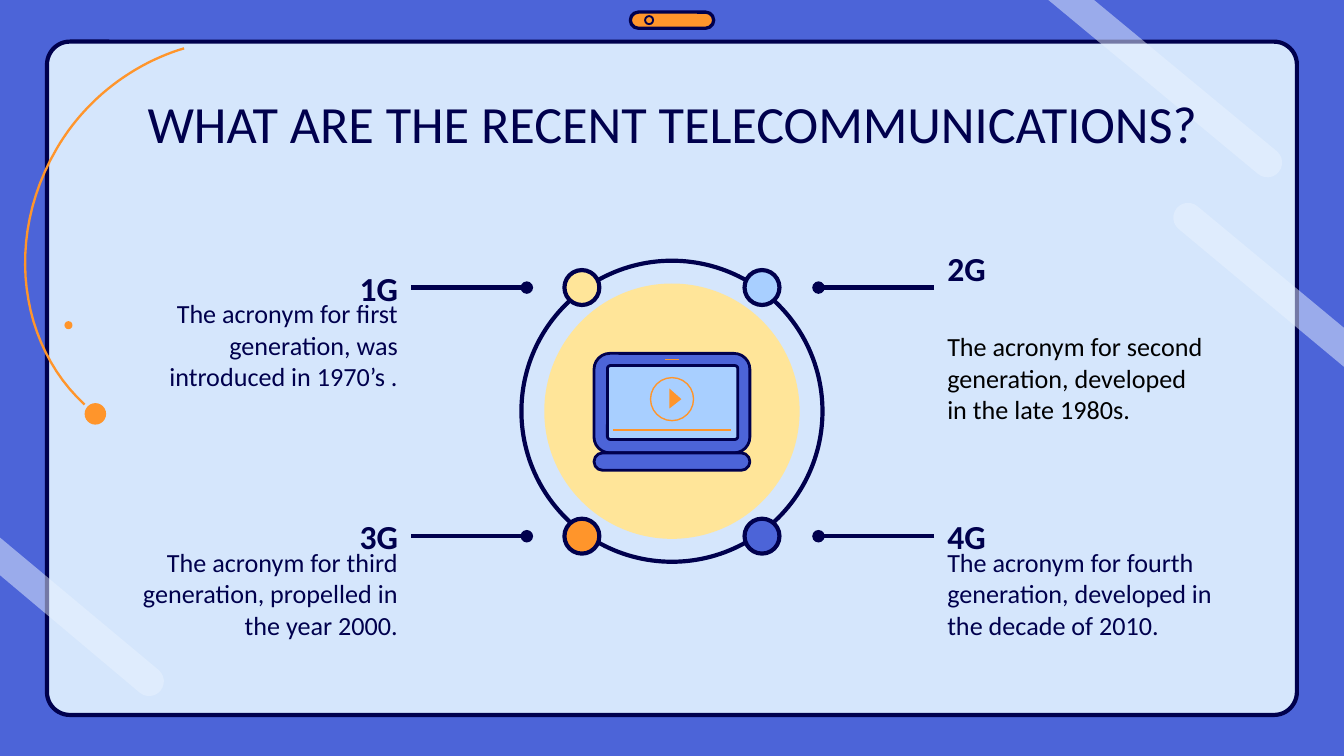
import math

import lxml.etree
import pptx
import pptx.dml.color
import pptx.enum.shapes
import pptx.enum.text
import pptx.oxml.ns
import pptx.util

Inches = pptx.util.Inches
Pt = pptx.util.Pt
SHAPE = pptx.enum.shapes.MSO_SHAPE
ALIGN = pptx.enum.text.PP_ALIGN
ANCHOR = pptx.enum.text.MSO_ANCHOR
qn = pptx.oxml.ns.qn

NAVY, BLUE, ORANGE = "00004D", "4C64D8", "FF952B"
SKY, YELLOW, PALE, GLARE = "A8CFFF", "FFE599", "D5E6FC", "E9F3FF"


def rgb(value):
    return pptx.dml.color.RGBColor.from_string(value)


def style(sp, fill=None, line=None, width=1.5, alpha=None):
    sp.shadow.inherit = False
    if fill:
        sp.fill.solid()
        sp.fill.fore_color.rgb = rgb(fill)
        if alpha:
            clr = sp._element.spPr.find(qn("a:solidFill"))[0]
            lxml.etree.SubElement(clr, qn("a:alpha")).set("val", str(alpha * 1000))
    else:
        sp.fill.background()
    if line:
        sp.line.color.rgb = rgb(line)
        sp.line.width = Pt(width)
    else:
        sp.line.fill.background()
    return sp


def add_shape(s, kind, x, y, w, h, radius=None, **look):
    sp = s.shapes.add_shape(kind, Inches(x), Inches(y), Inches(w), Inches(h))
    if radius is not None:
        sp.adjustments[0] = radius
    return style(sp, **look)


def add_circle(s, cx, cy, r, **look):
    return add_shape(s, SHAPE.OVAL, cx - r, cy - r, 2 * r, 2 * r, **look)


def add_outline(s, points, close=True, **look):
    pts = [(Inches(x), Inches(y)) for x, y in points]
    builder = s.shapes.build_freeform(*pts[0])
    builder.add_line_segments(pts[1:], close=close)
    return style(builder.convert_to_shape(), **look)


def add_line(s, start, end, color=NAVY, width=2.25, dot=False):
    c = s.shapes.add_connector(
        pptx.enum.shapes.MSO_CONNECTOR.STRAIGHT, *map(Inches, (*start, *end)))
    c.line.color.rgb = rgb(color)
    c.line.width = Pt(width)
    if dot:
        lxml.etree.SubElement(c.line._get_or_add_ln(), qn("a:tailEnd")).set("type", "oval")
    lxml.etree.SubElement(c._element.spPr, qn("a:effectLst"))
    return c


def add_text(s, text, x, y, w, h, size=14, color=NAVY, bold=False,
             align=ALIGN.LEFT, anchor=ANCHOR.MIDDLE):
    sp = s.shapes.add_textbox(Inches(x), Inches(y), Inches(w), Inches(h))
    tf = sp.text_frame
    tf.word_wrap = True
    tf.vertical_anchor = anchor
    tf.margin_left = tf.margin_right = tf.margin_top = tf.margin_bottom = Inches(0.1)
    p = tf.paragraphs[0]
    p.alignment = align
    r = p.add_run()
    r.text = text
    r.font.name = "Calibri"
    r.font.size = Pt(size)
    r.font.bold = bold
    r.font.color.rgb = rgb(color)
    return sp


def bezier(a, b, c, d, steps=24):
    for i in range(steps + 1):
        t = i / steps
        u = 1 - t
        yield tuple(u**3 * m + 3 * u * u * t * n + 3 * u * t * t * o + t**3 * q
                    for m, n, o, q in zip(a, b, c, d))


def add_streak(s, lower, upper, cx, cy, turn):
    r = 0.11
    cap = [math.radians(130 + turn * a) for a in range(0, 181, 15)]
    arc = [(cx + r * math.cos(a), cy + r * math.sin(a)) for a in cap]
    add_outline(s, [lower, *arc, upper], fill=GLARE, alpha=50)


def add_frame(s):
    add_shape(s, SHAPE.ROUNDED_RECTANGLE, 0.35, 0.31, 9.3, 5.01, 0.034,
              fill=PALE, line=NAVY, width=2.25)
    add_shape(s, SHAPE.ROUNDED_RECTANGLE, 4.69, 0.09, 0.62, 0.12, 0.5,
              fill=ORANGE, line=NAVY, width=1.75)
    add_circle(s, 4.83, 0.15, 0.03, line=NAVY, width=1)
    bend = (0.42, 1.11)
    orbit = [*bezier((0.63, 3.01), (0.15, 2.57), (0.03, 1.78), bend),
             *bezier(bend, (0.64, 0.73), (1, 0.47), (1.37, 0.36))]
    add_outline(s, orbit, close=False, line=ORANGE, width=1.25)
    add_circle(s, 0.51, 2.42, 0.03, fill=ORANGE)
    add_circle(s, 0.71, 3.08, 0.08, fill=ORANGE)
    add_streak(s, (7.8, 0), (8.14, 0), 9.43, 1.21, -1)
    add_streak(s, (0, 4.28), (0, 4), 1.11, 5.07, -1)
    add_streak(s, (10, 2.73), (10, 2.44), 8.84, 1.62, 1)


def add_laptop(s):
    add_circle(s, 5, 3.06, 0.95, fill=YELLOW)
    add_circle(s, 5, 3.06, 1.12, line=NAVY, width=2.25)
    box = SHAPE.ROUNDED_RECTANGLE
    add_shape(s, box, 4.42, 2.63, 1.16, 0.74, 0.16, fill=BLUE, line=NAVY)
    add_shape(s, box, 4.52, 2.72, 0.97, 0.55, 0.04, fill=SKY, line=NAVY)
    add_circle(s, 5, 2.97, 0.16, line=ORANGE, width=0.75)
    add_outline(s, [(4.98, 2.89), (4.98, 3.04), (5.07, 2.97)], fill=ORANGE)
    add_line(s, (4.56, 3.2), (5.44, 3.2), ORANGE, 0.75)
    add_line(s, (4.95, 2.67), (5.05, 2.67), ORANGE, 0.25)
    add_shape(s, box, 4.42, 3.37, 1.16, 0.13, 0.5, fill=BLUE, line=NAVY)


def add_generation(s, name, text, left, y, dot_color, head_height=0.39,
                   head_anchor=ANCHOR.MIDDLE, body=(2.27, 0.65), body_color=NAVY):
    x = 0.79 if left else 6.95
    align = ALIGN.RIGHT if left else ALIGN.LEFT
    head = add_text(s, name, x, y - head_height / 2, 2.27, head_height, size=18,
                    bold=True, align=align, anchor=head_anchor)
    add_text(s, text, x, y + 0.1, *body, color=body_color, align=align)
    start, end, dot_x = (3.06, 3.92, 4.33) if left else (6.95, 6.09, 5.67)
    c = add_line(s, (start, y), (end, y), dot=True)
    c.begin_connect(head, 3 if left else 1)
    add_circle(s, dot_x, y, 0.13, fill=dot_color, line=NAVY, width=2.25)


def main():
    prs = pptx.Presentation()
    prs.slide_width = Inches(10)
    prs.slide_height = prs.slide_width * 9 // 16
    s = prs.slides.add_slide(prs.slide_layouts[6])
    s.background.fill.solid()
    s.background.fill.fore_color.rgb = rgb(BLUE)
    add_frame(s)
    add_text(s, "WHAT ARE THE RECENT TELECOMMUNICATIONS?", 0.79, 0.58, 8.42, 0.63,
             size=28, align=ALIGN.CENTER, anchor=ANCHOR.TOP)
    add_laptop(s)
    top, bottom = 2.14, 3.99
    add_generation(s, "1G", "The acronym for first generation, was introduced in 1970’s .",
                   True, top, YELLOW)
    add_generation(s, "2G", "The acronym for second generation, developed in the late 1980s.",
                   False, top, SKY, head_height=0.79, head_anchor=ANCHOR.TOP,
                   body=(2.1, 1.14), body_color="000000")
    add_generation(s, "3G", "The acronym for third generation, propelled in the year 2000.",
                   True, bottom, ORANGE)
    add_generation(s, "4G", "The acronym for fourth generation, developed in the decade of 2010.",
                   False, bottom, BLUE)
    prs.save("out.pptx")


if __name__ == "__main__":
    main()
